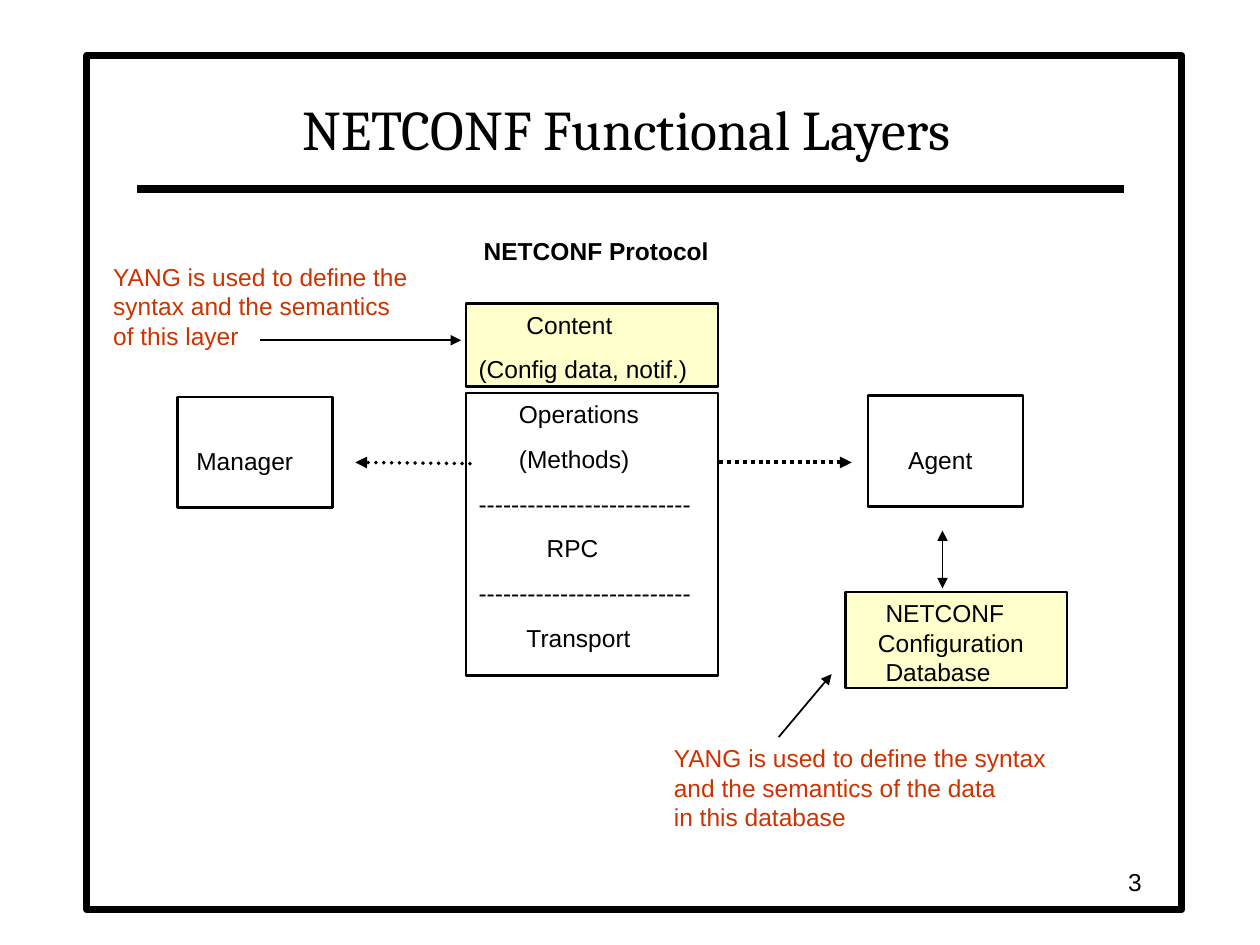
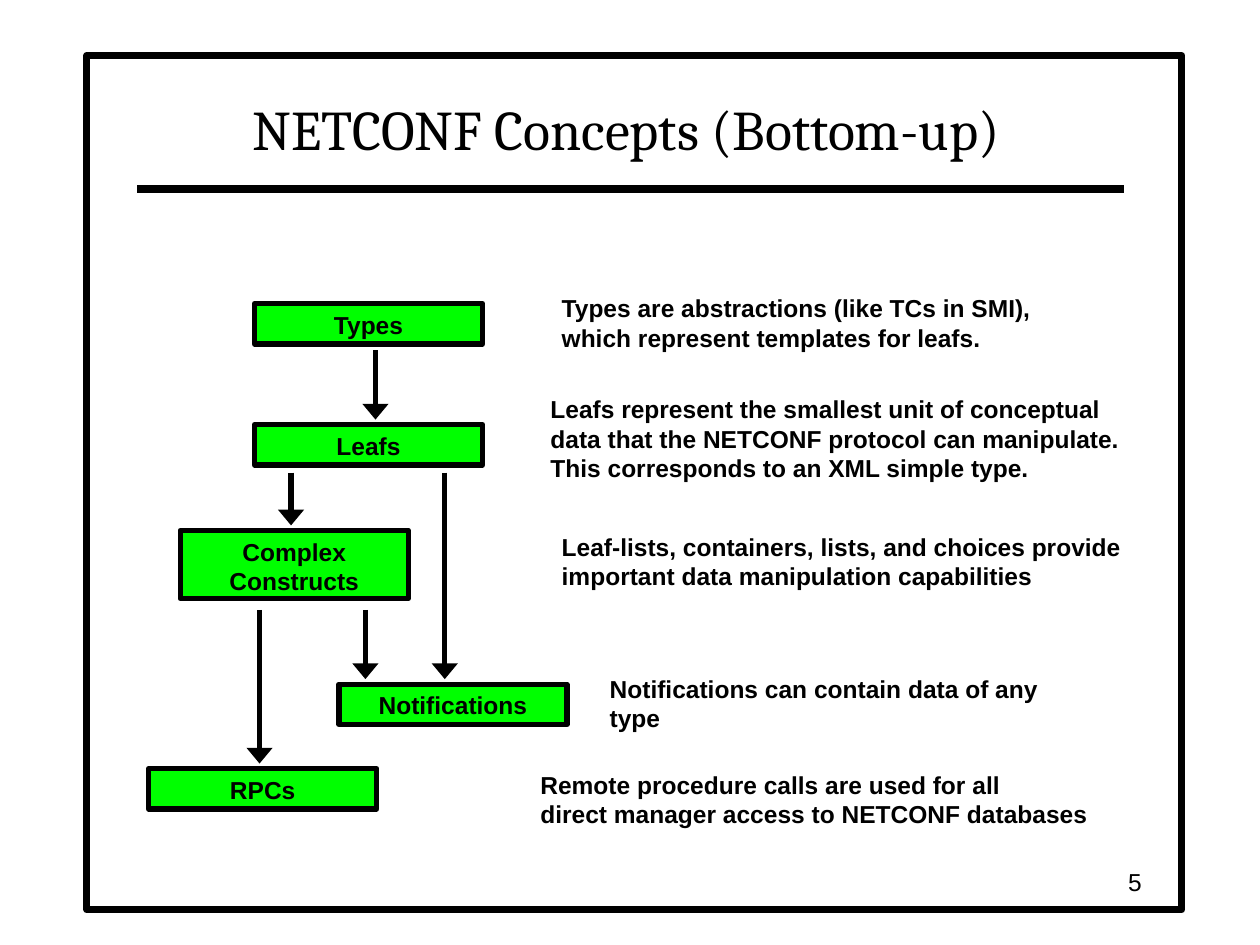
from pptx import Presentation
from pptx.dml.color import RGBColor
from pptx.enum.dml import MSO_LINE
from pptx.enum.shapes import MSO_CONNECTOR, MSO_SHAPE
from pptx.enum.text import MSO_ANCHOR, PP_ALIGN
from pptx.oxml.ns import qn
from pptx.util import Inches, Pt
from lxml.etree import SubElement

BLACK = RGBColor(0x00, 0x00, 0x00)
RED = RGBColor(0xCC, 0x33, 0x00)
CREAM = RGBColor(0xFF, 0xFF, 0xCC)
GREEN = RGBColor(0x00, 0xFF, 0x00)
WHITE = RGBColor(0xFF, 0xFF, 0xFF)
GAP = 8.7
DASHES = "-" * 26


def add_run(para, text, color=BLACK, bold=False, size=14, font="Arial"):
    """Add one formatted run to a paragraph."""
    run = para.add_run()
    run.text = text
    run.font.size = Pt(size)
    run.font.name = font
    run.font.bold = bold
    run.font.color.rgb = color


def add_rect(shapes, spot, fill=None, width=1.5):
    """Draw a black-edged rectangle and return it."""
    rect = shapes.add_shape(MSO_SHAPE.RECTANGLE, *map(Inches, spot))
    rect.shadow.inherit = False
    if fill is None:
        rect.fill.background()
    else:
        rect.fill.solid()
        rect.fill.fore_color.rgb = fill
    rect.line.color.rgb = BLACK
    rect.line.width = Pt(width)
    return rect


def add_box(slide, spot, lines, fill=None, gap=GAP, top=0.05):
    """Draw a box whose lines are pairs of text and indent in inches."""
    frame = add_rect(slide.shapes, spot, fill).text_frame
    frame.word_wrap = True
    frame.vertical_anchor = MSO_ANCHOR.TOP
    frame.margin_top = Inches(top)
    for num, (text, indent) in enumerate(lines):
        para = frame.add_paragraph() if num else frame.paragraphs[0]
        para.alignment = PP_ALIGN.LEFT
        para.space_before = Pt(gap if num else 0)
        props = para._p.get_or_add_pPr()
        props.set("marL", str(Inches(indent)))
        props.set("indent", "0")
        add_run(para, text)


def add_node(slide, left, top, text, height=0.32):
    """Draw a green concept box with a centred bold label."""
    rect = add_rect(slide.shapes, (left, top, 1.81, height), GREEN, 3)
    frame = rect.text_frame
    frame.word_wrap = True
    frame.vertical_anchor = MSO_ANCHOR.TOP
    para = frame.paragraphs[0]
    para.alignment = PP_ALIGN.CENTER
    add_run(para, text, bold=True)


def add_note(slide, spot, text, color=BLACK, bold=False):
    """Add a text box with one paragraph of broken lines."""
    frame = slide.shapes.add_textbox(*map(Inches, spot)).text_frame
    frame.word_wrap = False
    para = frame.paragraphs[0]
    for num, line in enumerate(text.split("\n")):
        if num:
            para.add_line_break()
        add_run(para, line, color, bold)


def add_line(shapes, start, end, width):
    """Draw a plain black connector and return it."""
    link = shapes.add_connector(MSO_CONNECTOR.STRAIGHT, *map(Inches, start + end))
    link.line.color.rgb = BLACK
    link.line.width = Pt(width)
    SubElement(link._element.spPr, qn("a:effectLst"))
    return link


def add_arrow(slide, start, end, width=1, both=False, dots=False, wide="med"):
    """Draw an arrow, with a head at one or both ends."""
    link = add_line(slide.shapes, start, end, width)
    if dots:
        link.line.dash_style = MSO_LINE.ROUND_DOT
    for tag in ("a:headEnd", "a:tailEnd") if both else ("a:tailEnd",):
        SubElement(link.line._ln, qn(tag), type="triangle", w=wide, len="med")
    return link


def set_frame(layout, slide):
    """Put the border and title rule on the layout, behind all slides."""
    border = add_rect(slide.shapes, (0.69, 0.44, 8.69, 6.78), WHITE, 4)
    rule = add_line(slide.shapes, (1.09, 1.5), (8.92, 1.5), 4.5)
    for place, part in enumerate((border, rule), 2):
        layout.shapes.element.insert(place, part._element)


def add_slide(deck, title, page):
    """Add a slide with its title and page number."""
    slide = deck.slides.add_slide(deck.slide_layouts[5])
    head = slide.shapes.title
    head.left, head.top, head.width, head.height = map(Inches, (1.08, 0.58, 7.79, 0.75))
    head.text_frame.vertical_anchor = MSO_ANCHOR.BOTTOM
    para = head.text_frame.paragraphs[0]
    para.alignment = PP_ALIGN.CENTER
    add_run(para, title, size=32, font="Cambria")
    foot = slide.shapes.add_textbox(*map(Inches, (7.08, 6.83, 2.08, 0.33))).text_frame
    foot.word_wrap = True
    foot.vertical_anchor = MSO_ANCHOR.MIDDLE
    foot.paragraphs[0].alignment = PP_ALIGN.RIGHT
    add_run(foot.paragraphs[0], page)
    return slide


def fill_layers(slide):
    """Draw the protocol layers between manager and agent."""
    add_box(slide, (1.41, 3.15, 1.23, 0.88), [("Manager", 0.05)], top=0.39)
    add_box(slide, (6.89, 3.14, 1.23, 0.88), [("Agent", 0.22)], top=0.39)
    add_box(slide, (3.7, 3.12, 2, 2.24), [
        ("Operations", 0.32), ("(Methods)", 0.32), (DASHES, 0),
        ("RPC", 0.54), (DASHES, 0), ("Transport", 0.38)])
    add_box(slide, (3.7, 2.41, 2, 0.66),
            [("Content", 0.38), ("(Config data, notif.)", 0)], CREAM)
    add_box(slide, (6.71, 4.7, 1.76, 0.76),
            [("NETCONF", 0.22), ("Configuration", 0.16), ("Database", 0.22)],
            CREAM, gap=0)
    add_note(slide, (3.74, 1.82, 1.99, 0.32), "NETCONF Protocol", bold=True)
    add_note(slide, (0.8, 2.03, 2.55, 0.76),
             "YANG is used to define the\nsyntax and the semantics\nof this layer", RED)
    add_note(slide, (5.25, 5.85, 3.17, 0.76),
             "YANG is used to define the syntax\nand the semantics of the data\n"
             "in this database", RED)
    left = add_arrow(slide, (3.73, 3.68), (2.82, 3.67), 2.25, dots=True)
    left.line._ln.set("cap", "rnd")
    add_arrow(slide, (5.71, 3.67), (6.76, 3.67), 2.25, dots=True)
    add_arrow(slide, (7.48, 4.21), (7.48, 4.67), both=True)
    add_arrow(slide, (6.18, 5.85), (6.6, 5.35))
    add_arrow(slide, (2.06, 2.7), (3.66, 2.7))


def fill_terms(slide):
    """Draw the tree of concepts and what each one means."""
    add_node(slide, 2.02, 2.41, "Types")
    add_node(slide, 2.02, 3.37, "Leafs")
    add_node(slide, 1.43, 4.21, "Complex Constructs", 0.54)
    add_node(slide, 2.69, 5.43, "Notifications")
    add_node(slide, 1.18, 6.1, "RPCs")
    for left, top, end in [(2.98, 2.78, 3.33), (2.31, 3.75, 4.17), (3.53, 3.75, 5.39),
                           (2.06, 4.84, 6.06), (2.9, 4.84, 5.39)]:
        add_arrow(slide, (left, top), (left, end), 3, wide="lg")
    notes = [
        ((4.36, 2.28, 3.94, 0.54),
         "Types are abstractions (like TCs in SMI),\n"
         "which represent templates for leafs."),
        ((4.27, 3.08, 4.72, 0.76),
         "Leafs represent the smallest unit of conceptual\n"
         "data that the NETCONF protocol can manipulate.\n"
         "This corresponds to an XML simple type."),
        ((4.36, 4.17, 4.64, 0.54),
         "Leaf-lists, containers, lists, and choices provide\n"
         "important data manipulation capabilities"),
        ((4.74, 5.3, 4.05, 0.32), "Notifications can contain data of any type"),
        ((4.19, 6.06, 4.6, 0.54),
         "Remote procedure calls are used for all\n"
         "direct manager access to NETCONF databases"),
    ]
    for spot, text in notes:
        add_note(slide, spot, text, bold=True)


def main():
    """Build and save both slides."""
    deck = Presentation()
    deck.slide_width, deck.slide_height = Inches(10), Inches(7.5)
    layers = add_slide(deck, "NETCONF Functional Layers", "3")
    set_frame(deck.slide_layouts[5], layers)
    fill_layers(layers)
    fill_terms(add_slide(deck, "NETCONF Concepts (Bottom-up)", "5"))
    deck.save("out.pptx")


if __name__ == "__main__":
    main()
